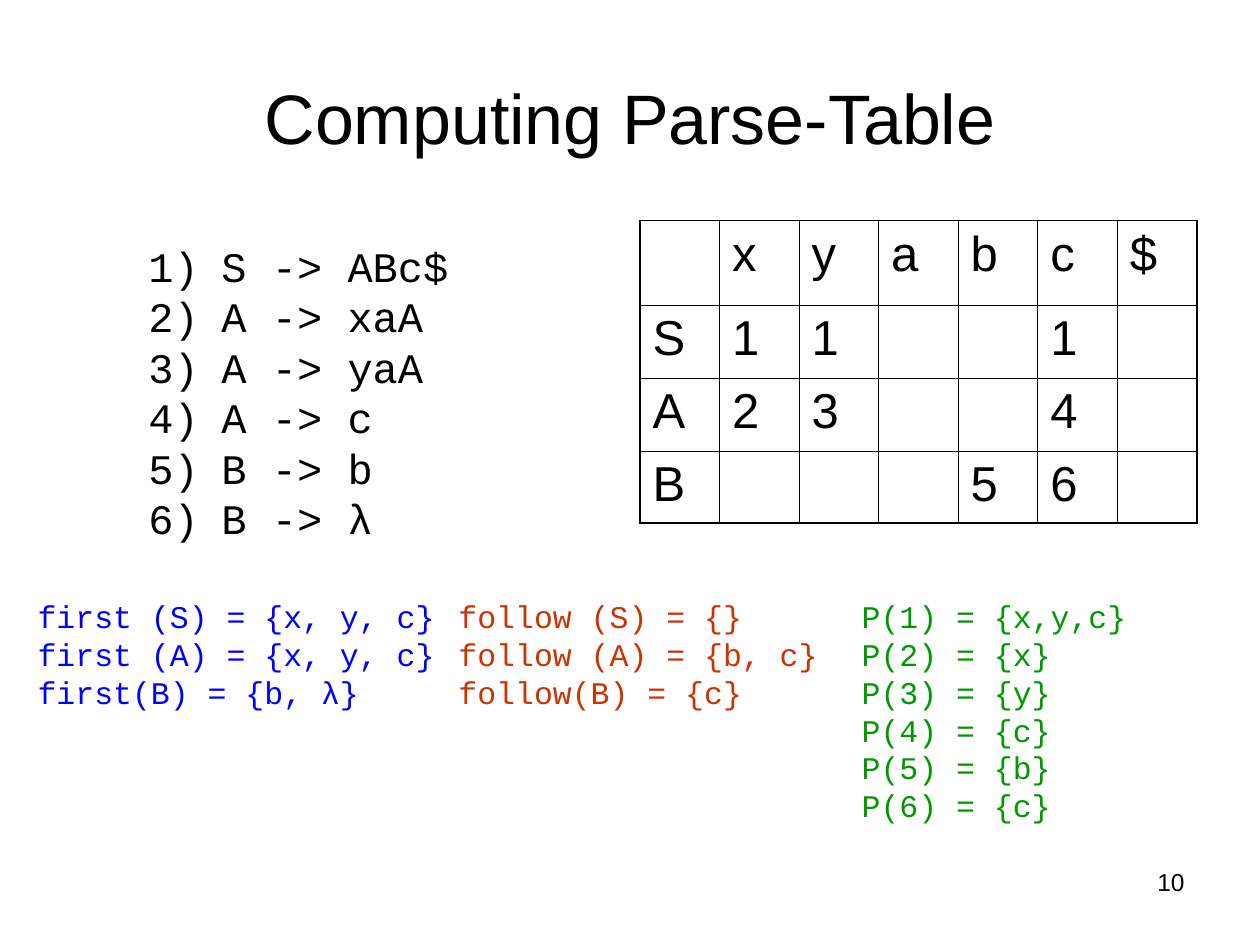
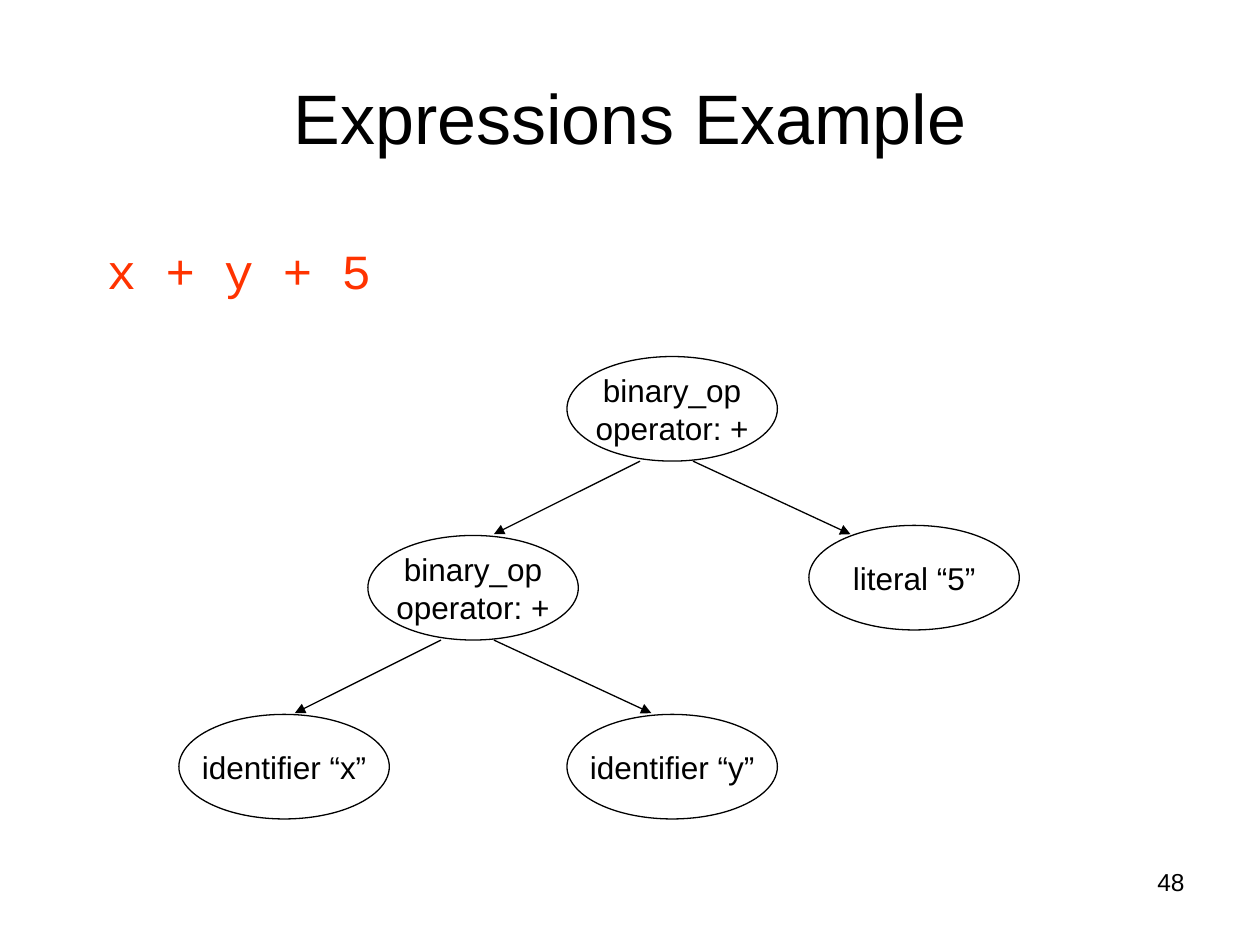
from dataclasses import dataclass

from lxml import etree
from pptx import Presentation
from pptx.dml.color import RGBColor
from pptx.enum.shapes import MSO_CONNECTOR, MSO_SHAPE
from pptx.enum.text import MSO_ANCHOR, PP_ALIGN
from pptx.oxml.ns import qn
from pptx.util import Inches, Pt


@dataclass(frozen=True)
class Theme:
    sans: str = "Arial"
    mono: str = "Courier New"
    black: str = "000000"
    first_blue: str = "0000FF"
    follow_red: str = "CC3300"
    predict_green: str = "009900"
    expression_red: str = "FF3300"
    title_size: int = 40
    large_size: int = 28
    rule_size: int = 24
    body_size: int = 18
    number_size: int = 14
    leading: float = 1.2
    outer_line: float = 1.08
    inner_line: float = 0.45
    tree_line: float = 0.75


THEME = Theme()


def add_span(para, text, size, font=THEME.sans, color=THEME.black):
    span = para.add_run()
    span.text = text
    span.font.size = Pt(size)
    span.font.name = font
    span.font.color.rgb = RGBColor.from_string(color)


def write_lines(frame, lines, size, font=THEME.sans, color=THEME.black,
                align=PP_ALIGN.LEFT, style=None):
    """Write one paragraph per line; style(para) may add indents and bullets."""
    for index, line in enumerate(lines):
        para = frame.add_paragraph() if index else frame.paragraphs[0]
        if style:
            style(para)
        para.alignment = align
        para.line_spacing = Pt(round(size * THEME.leading, 1))
        add_span(para, line, size, font, color)


def add_text(page, box, lines, size, wrap=True, anchor=MSO_ANCHOR.TOP, **look):
    frame = page.shapes.add_textbox(*map(Inches, box)).text_frame
    frame.word_wrap = wrap
    frame.vertical_anchor = anchor
    write_lines(frame, lines, size, **look)


def hang(para):
    properties = para._p.get_or_add_pPr()
    properties.set("marL", str(Inches(1.08)))
    properties.set("indent", str(-Inches(0.58)))
    return properties


def number_rule(para):
    properties = hang(para)
    color = etree.SubElement(properties, qn("a:buClr"))
    etree.SubElement(color, qn("a:srgbClr"), val=THEME.black)
    etree.SubElement(properties, qn("a:buFont"), typeface=THEME.mono)
    etree.SubElement(properties, qn("a:buAutoNum"), type="arabicParenR")


def add_page(deck, title, number):
    page = deck.slides.add_slide(deck.slide_layouts[6])
    add_text(page, (7.17, 6.83, 2.33, 0.52), [number], THEME.number_size,
             align=PP_ALIGN.RIGHT)
    add_text(page, (0.5, 0.3, 9, 1.25), [title], THEME.title_size,
             anchor=MSO_ANCHOR.MIDDLE, align=PP_ALIGN.CENTER)
    return page


def set_borders(cell, outer_sides):
    properties = cell._tc.get_or_add_tcPr()
    for index, side in enumerate(("lnL", "lnR", "lnT", "lnB")):
        width = THEME.outer_line if side in outer_sides else THEME.inner_line
        line = etree.Element(qn(f"a:{side}"), w=str(Pt(width)))
        fill = etree.SubElement(line, qn("a:solidFill"))
        etree.SubElement(fill, qn("a:srgbClr"), val=THEME.black)
        properties.insert(index, line)


def add_parse_table(page, box, rows, row_heights):
    row_count, column_count = len(rows), len(rows[0])
    table = page.shapes.add_table(row_count, column_count, *map(Inches, box)).table
    table.first_row = table.horz_banding = False
    for column in table.columns:
        column.width = Inches(box[2] / column_count)
    for row, height in zip(table.rows, row_heights):
        row.height = Inches(height)
    for i, symbols in enumerate(rows):
        for j, symbol in enumerate(symbols):
            cell = table.cell(i, j)
            cell.fill.background()
            edges = {"lnL": j == 0, "lnR": j == column_count - 1,
                     "lnT": i == 0, "lnB": i == row_count - 1}
            set_borders(cell, [side for side, outer in edges.items() if outer])
            para = cell.text_frame.paragraphs[0]
            para.font.size = Pt(THEME.large_size)
            if symbol.strip():
                add_span(para, symbol, THEME.large_size)


def add_node(page, box, lines):
    node = page.shapes.add_shape(MSO_SHAPE.OVAL, *map(Inches, box))
    node.shadow.inherit = False
    node.fill.background()
    node.line.color.rgb = RGBColor.from_string(THEME.black)
    node.line.width = Pt(THEME.tree_line)
    frame = node.text_frame
    frame.word_wrap = False
    frame.vertical_anchor = MSO_ANCHOR.MIDDLE
    write_lines(frame, lines, THEME.body_size, align=PP_ALIGN.CENTER)


def add_arrow(page, start, end):
    arrow = page.shapes.add_connector(MSO_CONNECTOR.STRAIGHT,
                                      *map(Inches, start + end))
    arrow.line.color.rgb = RGBColor.from_string(THEME.black)
    arrow.line.width = Pt(THEME.tree_line)
    etree.SubElement(arrow.line._get_or_add_ln(), qn("a:tailEnd"), type="triangle")
    etree.SubElement(arrow._element.spPr, qn("a:effectLst"))


def add_branches(page, left, bottom):
    """Draw the two arrows that leave a parent node."""
    for leave, arrive in ((0.58, -0.58), (1, 2.25)):
        add_arrow(page, (left + leave, bottom), (left + arrive, bottom + 0.58))


def build_parse_table_page(deck):
    page = add_page(deck, "Computing Parse-Table", "10")
    rules = ["S -> ABc$", "A -> xaA", "A -> yaA", "A -> c", "B -> b", "B -> λ"]
    add_text(page, (0.58, 1.86, 9.17, 4.95), rules, THEME.rule_size,
             font=THEME.mono, style=number_rule)
    add_parse_table(page, (5.08, 1.75, 4.42, 2.4),
                    [" xyabc$", "S11  1 ", "A23  4 ", "B   56 "],
                    (0.67, 0.58, 0.58, 0.57))
    predictions = ("x,y,c", "x", "y", "c", "b", "c")
    sets = (
        (0.2, 3.36, THEME.first_blue,
         ["first (S) = {x, y, c}", "first (A) = {x, y, c}", "first(B) = {b, λ}"]),
        (3.54, 3.06, THEME.follow_red,
         ["follow (S) = {}", "follow (A) = {b, c}", "follow(B) = {c}"]),
        (6.74, 2.3, THEME.predict_green,
         [f"P({n}) = {{{symbols}}}" for n, symbols in enumerate(predictions, 1)]),
    )
    for left, width, color, lines in sets:
        add_text(page, (left, 4.69, width, 0.1 + 0.3 * len(lines)), lines,
                 THEME.body_size, wrap=False, font=THEME.mono, color=color)


def build_expression_page(deck):
    page = add_page(deck, "Expressions Example", "48")
    add_text(page, (0.25, 1.86, 9.5, 4.95), ["x + y + 5"], THEME.large_size,
             font=THEME.mono, color=THEME.expression_red, style=hang)
    width, height = 1.67, 0.83
    operation = ["binary_op", "operator: +"]
    parents = ((2.92, 4.25), (4.5, 2.83))
    leaves = ((1.42, 5.67, "identifier “x”"), (4.5, 5.67, "identifier “y”"),
              (6.42, 4.17, "literal “5”"))
    for left, top, label in leaves:
        add_node(page, (left, top, width, height), [label])
    for left, top in parents:
        add_node(page, (left, top, width, height), operation)
        add_branches(page, left, top + height)


def main():
    deck = Presentation()
    deck.slide_width, deck.slide_height = Inches(10), Inches(7.5)
    build_parse_table_page(deck)
    build_expression_page(deck)
    deck.save("out.pptx")


if __name__ == "__main__":
    main()
